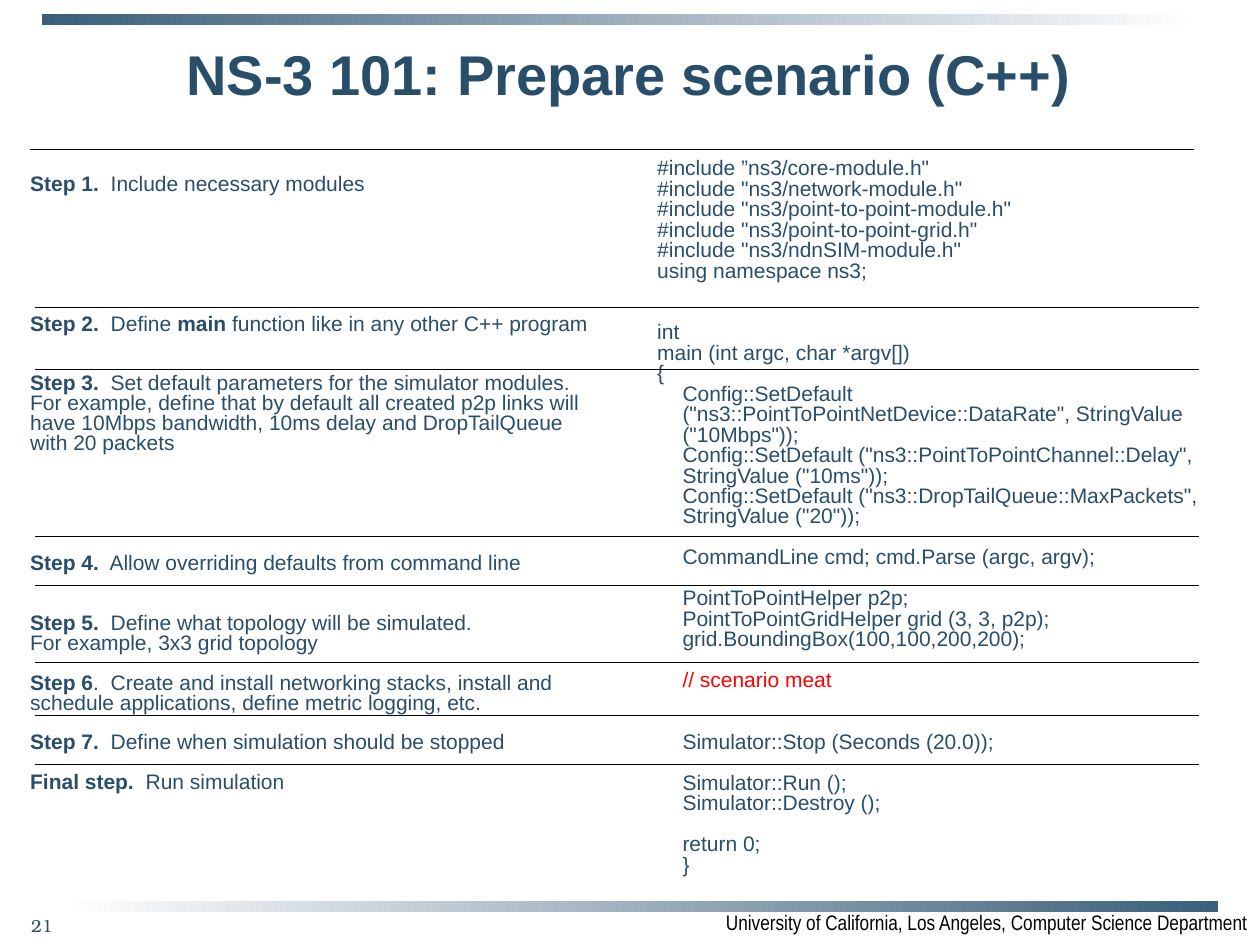
from lxml import etree
from pptx import Presentation
from pptx.dml.color import RGBColor
from pptx.enum.shapes import MSO_CONNECTOR, MSO_SHAPE
from pptx.enum.text import MSO_ANCHOR, PP_ALIGN
from pptx.oxml.ns import qn
from pptx.util import Cm, Pt

RECTANGLE = MSO_SHAPE.RECTANGLE
STRAIGHT = MSO_CONNECTOR.STRAIGHT
TOP, MIDDLE = MSO_ANCHOR.TOP, MSO_ANCHOR.MIDDLE
LEFT, CENTER, RIGHT = PP_ALIGN.LEFT, PP_ALIGN.CENTER, PP_ALIGN.RIGHT
COLORS = {"text": "284E6A", "bar": "3A5F7B", "white": "FFFFFF",
          "black": "000000", "highlight": "FF0000"}

prs = Presentation()
prs.slide_width, prs.slide_height = Cm(25.4), Cm(19.05)
slide = prs.slides.add_slide(prs.slide_layouts[6])


def add_frame(left, top, width, height, anchor=TOP):
    """Add a wrapping text box, measured in cm, and return its text frame."""
    frame = slide.shapes.add_textbox(Cm(left), Cm(top), Cm(width), Cm(height)).text_frame
    frame.word_wrap = True
    frame.vertical_anchor = anchor
    return frame


def format_run(run, size=12, font="Arial", color="text", bold=False):
    run.font.size = Pt(size)
    run.font.name = font
    run.font.bold = bold
    run.font.color.rgb = RGBColor.from_string(COLORS[color])


# Bars fading out from the top left and the bottom right
for left, top, angle in [(0.84, 0.28, 0), (1.27, 18.16, 180)]:
    bar = slide.shapes.add_shape(RECTANGLE, Cm(left), Cm(top), Cm(23.29), Cm(0.23))
    bar.shadow.inherit = False
    bar.line.fill.background()
    bar.fill.gradient()
    bar.fill.gradient_angle = angle
    for stop, color, position in zip(bar.fill.gradient_stops, ("bar", "white"), (0, 1)):
        stop.color.rgb = RGBColor.from_string(COLORS[color])
        stop.position = position

# Title, footer and page number
captions = [
    ("University of California, Los Angeles, Computer Science Department",
     (4.04, 18.21, 21.36, 0.76), TOP, RIGHT, (12, "Arial Narrow", "black")),
    ("21", (0.38, 18.14, 1.47, 1.02), MIDDLE, LEFT, (10, "TeX Gyre Bonum", "text")),
    ("NS-3 101: Prepare scenario (C++)",
     (0.36, 0.53, 24.64, 1.88), MIDDLE, CENTER, (32, "Arial", "text", True)),
]
for caption, box, anchor, alignment, style in captions:
    paragraph = add_frame(*box, anchor).paragraphs[0]
    paragraph.text = caption
    paragraph.alignment = alignment
    format_run(paragraph.runs[0], *style)

# Code column: (lines skipped above, indented, text)
code_lines = [
    (0, False, '#include ”ns3/core-module.h"'),
    (0, False, '#include "ns3/network-module.h"'),
    (0, False, '#include "ns3/point-to-point-module.h"'),
    (0, False, '#include "ns3/point-to-point-grid.h"'),
    (0, False, '#include "ns3/ndnSIM-module.h"'),
    (0, False, "using namespace ns3;"),
    (2, False, "int"),
    (0, False, "main (int argc, char *argv[])"),
    (0, False, "{"),
    (0, True, 'Config::SetDefault ("ns3::PointToPointNetDevice::DataRate", StringValue ("10Mbps"));'),
    (0, True, 'Config::SetDefault ("ns3::PointToPointChannel::Delay", StringValue ("10ms"));'),
    (0, True, 'Config::SetDefault ("ns3::DropTailQueue::MaxPackets", StringValue ("20"));'),
    (1, True, "CommandLine cmd; cmd.Parse (argc, argv);"),
    (1, True, "PointToPointHelper p2p;"),
    (0, True, "PointToPointGridHelper grid (3, 3, p2p);"),
    (0, True, "grid.BoundingBox(100,100,200,200);"),
    (1, True, "// scenario meat"),
    (2, True, "Simulator::Stop (Seconds (20.0));"),
    (1, True, "Simulator::Run ();"),
    (0, True, "Simulator::Destroy ();"),
    (1, True, "return 0;"),
    (0, True, "}"),
]
CODE_LEADING = 11.7
code = add_frame(13, 3.09, 11.99, 14.36)
for index, (skipped, indented, text) in enumerate(code_lines):
    paragraph = code.add_paragraph() if index else code.paragraphs[0]
    paragraph.text = text
    paragraph.line_spacing = Pt(CODE_LEADING)
    paragraph.space_before = Pt(skipped * CODE_LEADING)
    if indented:
        paragraph.level = 1
        properties = paragraph._p.get_or_add_pPr()
        properties.set("marL", str(Cm(0.51)))
        properties.set("indent", "0")
    format_run(paragraph.runs[0], color="highlight" if text.startswith("//") else "text")

# Step column: (lines skipped above, runs that alternate bold and regular)
step_lines = [
    (0, ["Step 1. ", " Include necessary modules"]),
    (6, ["Step 2. ", " Define ", "main", " function like in any other C++ program"]),
    (2, ["Step 3. ", " Set default parameters for the simulator modules."]),
    (0, ["", "For example, define that by default all created p2p links will have "
             "10Mbps bandwidth, 10ms delay and DropTailQueue with 20 packets"]),
    (5, ["Step 4.", "  Allow overriding defaults from command line"]),
    (2, ["Step 5.", "  Define what topology will be simulated."]),
    (0, ["", "For example, 3x3 grid topology"]),
    (1, ["Step 6", ".  Create and install networking stacks, install and schedule "
                   "applications, define metric logging, etc."]),
    (1, ["Step 7.", "  Define when simulation should be stopped"]),
    (1, ["Final step. ", " Run simulation"]),
]
STEP_LEADING = 11.4
steps = add_frame(0.36, 3.42, 11.99, 13.98)
for index, (skipped, parts) in enumerate(step_lines):
    paragraph = steps.add_paragraph() if index else steps.paragraphs[0]
    paragraph.line_spacing = Pt(STEP_LEADING)
    paragraph.space_before = Pt(skipped * STEP_LEADING)
    for position, part in enumerate(parts):
        if part:
            run = paragraph.add_run()
            run.text = part
            format_run(run, bold=position % 2 == 0)

# Dividers between the steps; the topmost sits slightly further left
divider_tops = [3.02, 6.2, 7.44, 10.82, 11.81, 13.36, 14.43, 15.42]
for index, top in enumerate(divider_tops):
    left = 0.71 if index else 0.61
    divider = slide.shapes.add_connector(STRAIGHT, Cm(left), Cm(top), Cm(left + 23.46), Cm(top))
    divider.line.color.rgb = RGBColor.from_string(COLORS["black"])
    divider.line.width = Pt(0.5)
    etree.SubElement(divider._element.spPr, qn("a:effectLst"))

prs.save("out.pptx")
